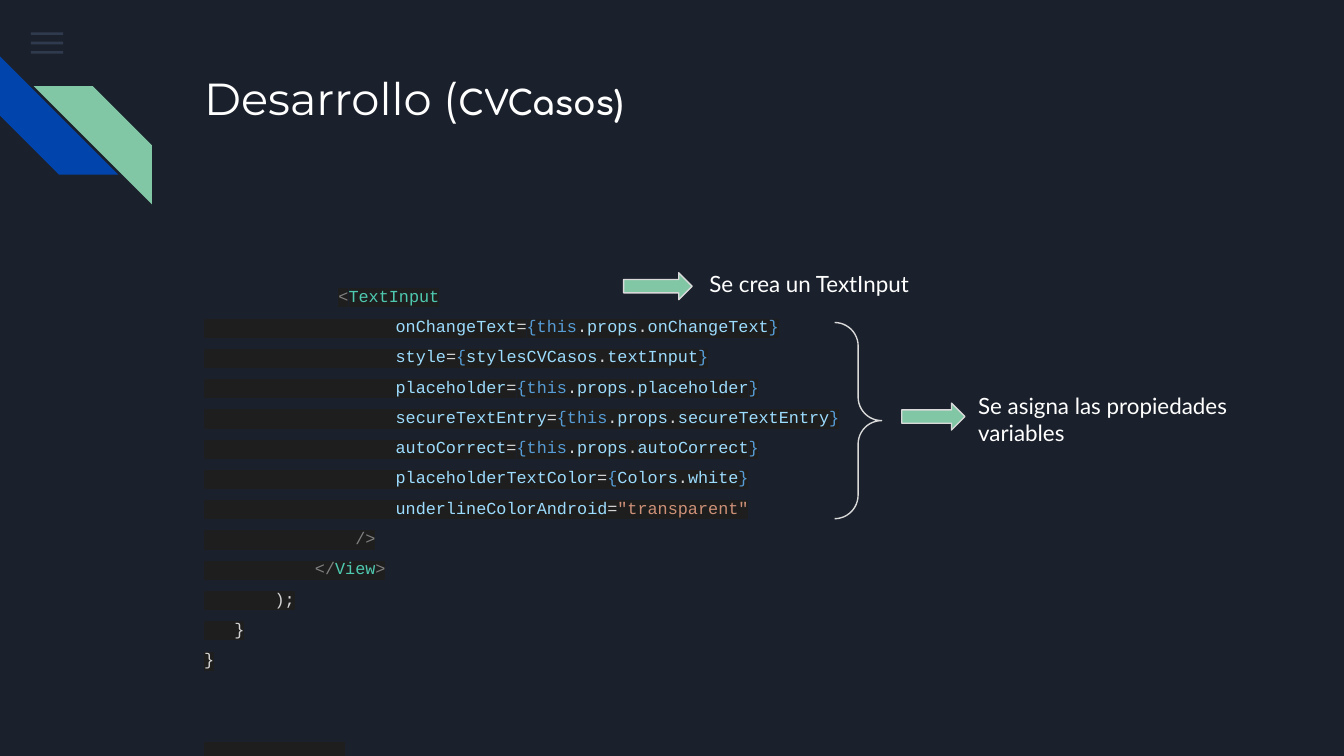
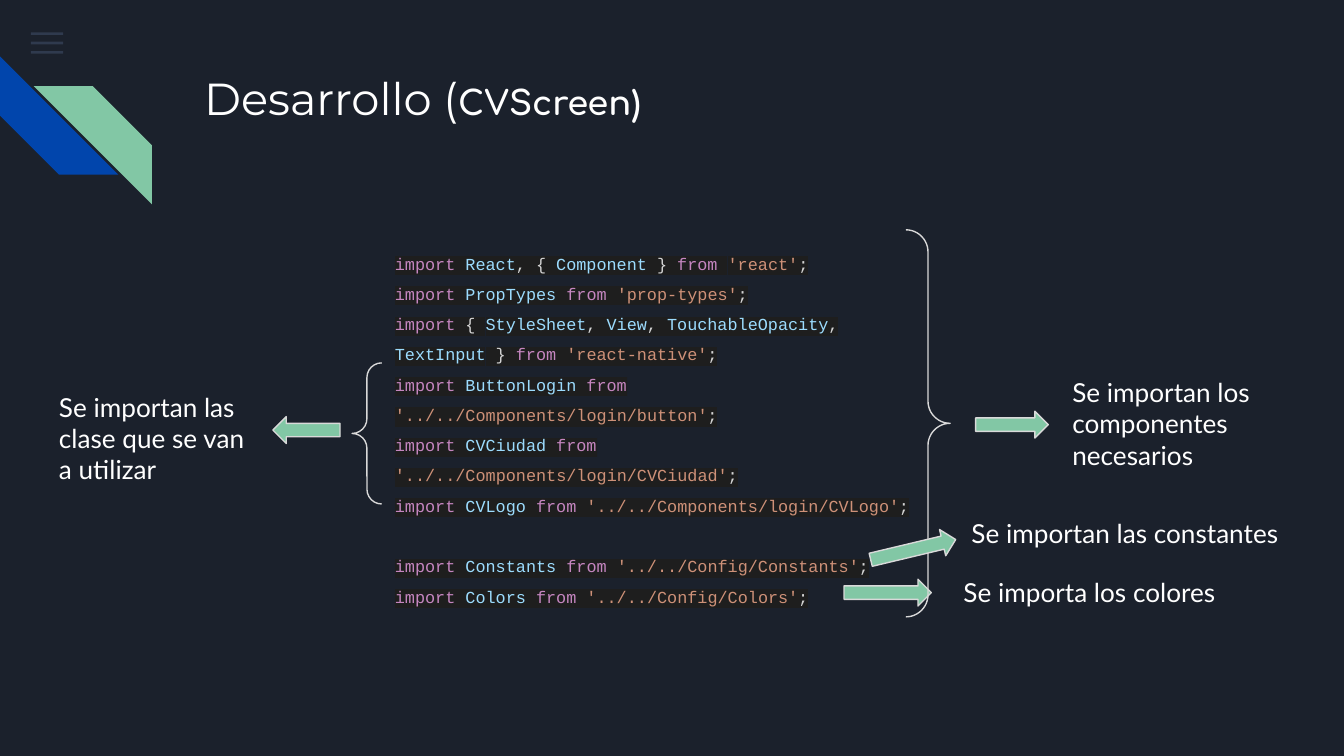
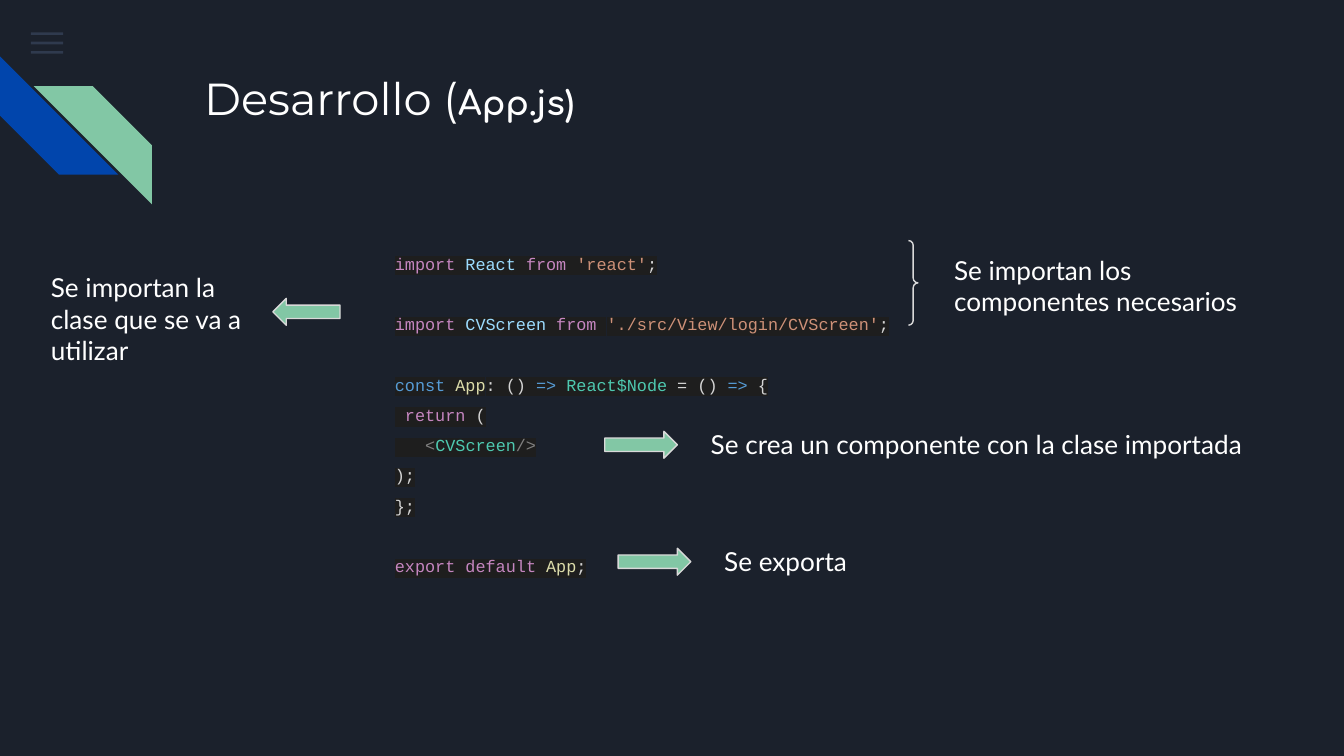
from dataclasses import dataclass

from lxml.etree import SubElement
from pptx import Presentation
from pptx.dml.color import RGBColor
from pptx.enum.shapes import MSO_SHAPE
from pptx.oxml.ns import qn
from pptx.util import Emu, Inches, Pt

CELL = Inches(0.1)
COLUMNS, ROWS = 100, 56.25


@dataclass(frozen=True)
class Theme:
    """Colours, fonts and type sizes of the presentation."""

    background: str = "1B212C"
    menu: str = "55688B"
    blue: str = "0145AC"
    green: str = "82C7A5"
    outline: str = "D9D9D9"
    white: str = "FFFFFF"
    code_background: str = "1E1E1E"
    plain: str = "D4D4D4"
    keyword: str = "C586C0"
    name: str = "9CDCFE"
    brace: str = "569CD6"
    string: str = "CE9178"
    tag: str = "808080"
    type: str = "4EC9B0"
    function: str = "DCDCAA"
    title_size: float = 24
    file_size: float = 18
    note_size: float = 14
    small_note_size: float = 12
    code_size: float = 9
    code_pitch: float = 16.2


THEME = Theme()


def place(left, top, width, height):
    """Turn columns and rows of the grid into lengths."""
    return [Emu(round(cells * CELL)) for cells in (left, top, width, height)]


def add_run(paragraph, text, *, font, size, color, bold=False, highlight=None):
    """Append formatted text to a paragraph."""
    run = paragraph.add_run()
    run.text = text
    run.font.name = font
    run.font.size = Pt(size)
    run.font.bold = bold
    run.font.color.rgb = RGBColor.from_string(color)
    if highlight:
        properties = run.font._element
        mark = SubElement(properties, qn("a:highlight"))
        SubElement(mark, qn("a:srgbClr")).set("val", highlight)
        properties.find(qn("a:solidFill")).addnext(mark)


def add_text_frame(slide, box):
    """Add a wrapping text box with even insets."""
    frame = slide.shapes.add_textbox(*place(*box)).text_frame
    frame.word_wrap = True
    frame.margin_left = frame.margin_right = CELL
    frame.margin_top = frame.margin_bottom = CELL
    return frame


def add_figure(slide, kind, box, fill=None, outline=None, rotation=0, alpha=None):
    """Add a preset shape with an optional fill, outline and opacity."""
    shape = slide.shapes.add_shape(kind, *place(*box))
    shape.shadow.inherit = False
    shape.rotation = rotation
    if fill:
        shape.fill.solid()
        shape.fill.fore_color.rgb = RGBColor.from_string(fill)
    else:
        shape.fill.background()
    if alpha:
        color = shape._element.spPr.find(".//" + qn("a:srgbClr"))
        SubElement(color, qn("a:alpha")).set("val", str(alpha * 1000))
    if outline:
        shape.line.color.rgb = RGBColor.from_string(outline)
        shape.line.width = Pt(0.75)
    else:
        shape.line.fill.background()
    return shape


def add_arrow(slide, left, top, width, rotation=0):
    """Add a green block arrow."""
    add_figure(slide, MSO_SHAPE.RIGHT_ARROW, (left, top, width, 2),
               THEME.green, THEME.outline, rotation)


def add_brace(slide, kind, *box):
    """Add an outlined curly brace."""
    shape = add_figure(slide, kind, box, outline=THEME.outline)
    shape.adjustments[0] = 0.5


def add_note(slide, text, box, size=THEME.note_size):
    """Add an explanation beside the code."""
    paragraph = add_text_frame(slide, box).paragraphs[0]
    add_run(paragraph, text, font="Lato", size=size, color=THEME.white)


def add_code(slide, box, lines, first_indent=0):
    """Add highlighted code, turning each empty line into space before the next."""
    frame = add_text_frame(slide, box)
    paragraph, blank_lines = frame.paragraphs[0], 0
    for index, line in enumerate(lines):
        if not line:
            blank_lines += 1
            continue
        if index:
            paragraph = frame.add_paragraph()
        elif first_indent:
            properties = paragraph._p.get_or_add_pPr()
            for attribute in ("marL", "indent"):
                properties.set(attribute, str(first_indent * CELL))
        paragraph.line_spacing = Pt(THEME.code_pitch)
        paragraph.space_before = Pt(THEME.code_pitch * blank_lines)
        blank_lines = 0
        for text, color in line:
            add_run(paragraph, text, font="Courier New", size=THEME.code_size,
                    color=color, highlight=THEME.code_background)


def plain(text):
    """Return a line of code in the plain colour."""
    return [(text, THEME.plain)]


def import_line(names, source):
    """Return the coloured parts of an import, with names given as text parts."""
    parts = [("import", THEME.keyword)]
    parts += [(text, THEME.name if text[0].isalpha() else THEME.plain)
              for text in names]
    return parts + [("from", THEME.keyword), (" ", THEME.plain),
                    (f"'{source}'", THEME.string), (";", THEME.plain)]


def import_default(name, source):
    """Return the import of a single name."""
    return import_line((" ", name, " "), source)


def attribute_line(name, *value):
    """Return the coloured parts of an indented attribute and its value."""
    return [(" " * 19, THEME.plain), (name, THEME.name), ("=", THEME.plain), *value]


def binding_line(name, owner, *members):
    """Return an attribute bound to a dotted expression in braces."""
    if owner == "this":
        value = [("{this", THEME.brace)]
    else:
        value = [("{", THEME.brace), (owner, THEME.name)]
    for member in members:
        value += [(".", THEME.plain), (member, THEME.name)]
    return attribute_line(name, *value, ("}", THEME.brace))


def add_base_slide(presentation, file_name):
    """Add a slide with the shared background, ornaments and title."""
    slide = presentation.slides.add_slide(presentation.slide_layouts[6])
    slide.background.fill.solid()
    slide.background.fill.fore_color.rgb = RGBColor.from_string(THEME.background)
    for bar in range(3):
        add_figure(slide, MSO_SHAPE.RECTANGLE, (2.3, 2.4 + 0.7 * bar, 2.4, 0.2),
                   THEME.menu, alpha=36)
    for left, top, color, rotation in ((0, 4.2, THEME.blue, 270),
                                       (2.5, 6.4, THEME.green, 90)):
        add_figure(slide, MSO_SHAPE.DIAGONAL_STRIPE, (left, top, 8.8, 8.8),
                   color, rotation=rotation)
    paragraph = add_text_frame(slide, (14.2, 4.3, 77, 10)).paragraphs[0]
    add_run(paragraph, "Desarrollo (", font="Montserrat",
            size=THEME.title_size, color=THEME.white)
    add_run(paragraph, f"{file_name})", font="Comfortaa",
            size=THEME.file_size, color=THEME.white, bold=True)
    return slide


def add_input_slide(presentation):
    """Explain the text input component."""
    slide = add_base_slide(presentation, "CVCasos")
    bound_names = ("onChangeText", "placeholder", "secureTextEntry", "autoCorrect")
    bindings = [binding_line(name, "this", "props", name) for name in bound_names]
    bindings.insert(1, binding_line("style", "stylesCVCasos", "textInput"))
    add_code(slide, (14.2, 19.5, 57.6, 34.2), [
        [("<", THEME.tag), ("TextInput", THEME.type)],
        *bindings,
        binding_line("placeholderTextColor", "Colors", "white"),
        attribute_line("underlineColorAndroid", ('"transparent"', THEME.string)),
        [(" " * 15, THEME.plain), ("/>", THEME.tag)],
        [(" " * 11, THEME.plain), ("</", THEME.tag),
         ("View", THEME.type), (">", THEME.tag)],
        plain("       );"),
        plain("   }"),
        plain("}"),
        [],
        [],
        plain(" " * 14),
    ], first_indent=5)
    add_arrow(slide, 46.4, 20.3, 5.1)
    add_note(slide, "Se crea un TextInput", (51.8, 19.1, 30.3, 4.2),
             THEME.small_note_size)
    add_arrow(slide, 67.1, 30, 4.7)
    add_note(slide, "Se asigna las propiedades variables", (71.8, 28.2, 23, 5.4),
             THEME.small_note_size)
    add_brace(slide, MSO_SHAPE.RIGHT_BRACE, 62.1, 24, 3.5, 14.6)


def add_screen_slide(presentation):
    """Explain the imports of the screen."""
    slide = add_base_slide(presentation, "CVScreen")
    add_code(slide, (28.4, 17.1, 41.6, 31.8), [
        import_line((" ", "React", ", { ", "Component", " } "), "react"),
        import_default("PropTypes", "prop-types"),
        import_line((" { ", "StyleSheet", ", ", "View", ", ", "TouchableOpacity",
                     ", ", "TextInput", " } "), "react-native"),
        import_default("ButtonLogin", "../../Components/login/button"),
        import_default("CVCiudad", "../../Components/login/CVCiudad"),
        import_default("CVLogo", "../../Components/login/CVLogo"),
        [],
        import_default("Constants", "../../Config/Constants"),
        import_default("Colors", "../../Config/Colors"),
    ])
    add_arrow(slide, 62.8, 43.1, 6.5)
    add_note(slide, "Se importan los componentes necesarios", (78.8, 27, 17.5, 9.1))
    add_arrow(slide, 72.6, 30.6, 5.4)
    add_brace(slide, MSO_SHAPE.RIGHT_BRACE, 67.4, 17.1, 3.3, 28.8)
    add_note(slide, "Se importa los colores", (70.7, 41.9, 22.1, 4.4))
    add_note(slide, "Se importan las clase que se van a utilizar",
             (3.4, 28.1, 16.9, 10))
    add_arrow(slide, 20.3, 31, 5, rotation=180)
    add_note(slide, "Se importan las constantes", (71.3, 37.5, 25.9, 4.4))
    add_arrow(slide, 64.7, 39.9, 6.5, rotation=346.6)
    add_brace(slide, MSO_SHAPE.LEFT_BRACE, 26.2, 27, 2.2, 10.5)


def add_app_slide(presentation):
    """Explain the entry point of the application."""
    slide = add_base_slide(presentation, "App.js")
    add_code(slide, (28.4, 17.1, 41.6, 31.8), [
        import_default("React", "react"),
        [],
        import_default("CVScreen", "./src/View/login/CVScreen"),
        [],
        [("const", THEME.brace), (" ", THEME.plain), ("App", THEME.function),
         (": () ", THEME.plain), ("=>", THEME.brace), (" ", THEME.plain),
         ("React$Node", THEME.type), (" = () ", THEME.plain),
         ("=>", THEME.brace), (" {", THEME.plain)],
        [(" ", THEME.plain), ("return", THEME.keyword), (" (", THEME.plain)],
        [("   ", THEME.plain), ("<", THEME.tag),
         ("CVScreen", THEME.type), ("/>", THEME.tag)],
        plain(");"),
        plain("};"),
        [],
        [("export", THEME.keyword), (" ", THEME.plain), ("default", THEME.keyword),
         (" ", THEME.plain), ("App", THEME.function), (";", THEME.plain)],
    ])
    add_note(slide, "Se importan los componentes necesarios", (70, 17.9, 25.9, 6.3))
    add_arrow(slide, 45, 32.1, 5.4)
    add_brace(slide, MSO_SHAPE.RIGHT_BRACE, 67.6, 17.9, 0.7, 6.3)
    add_note(slide, "Se importan la clase que se va a utilizar",
             (2.8, 19.2, 16.9, 8.1))
    add_arrow(slide, 20.3, 22.2, 5, rotation=180)
    add_note(slide, "Se crea un componente con la clase importada",
             (51.9, 30.9, 42.3, 4.4))
    add_arrow(slide, 46, 40.8, 5.4)
    add_note(slide, "Se exporta", (52.9, 39.6, 20.3, 4.4))


def main():
    """Build and save the presentation."""
    presentation = Presentation()
    presentation.slide_width = Emu(COLUMNS * CELL)
    presentation.slide_height = Emu(round(ROWS * CELL))
    add_input_slide(presentation)
    add_screen_slide(presentation)
    add_app_slide(presentation)
    presentation.save("out.pptx")


if __name__ == "__main__":
    main()
